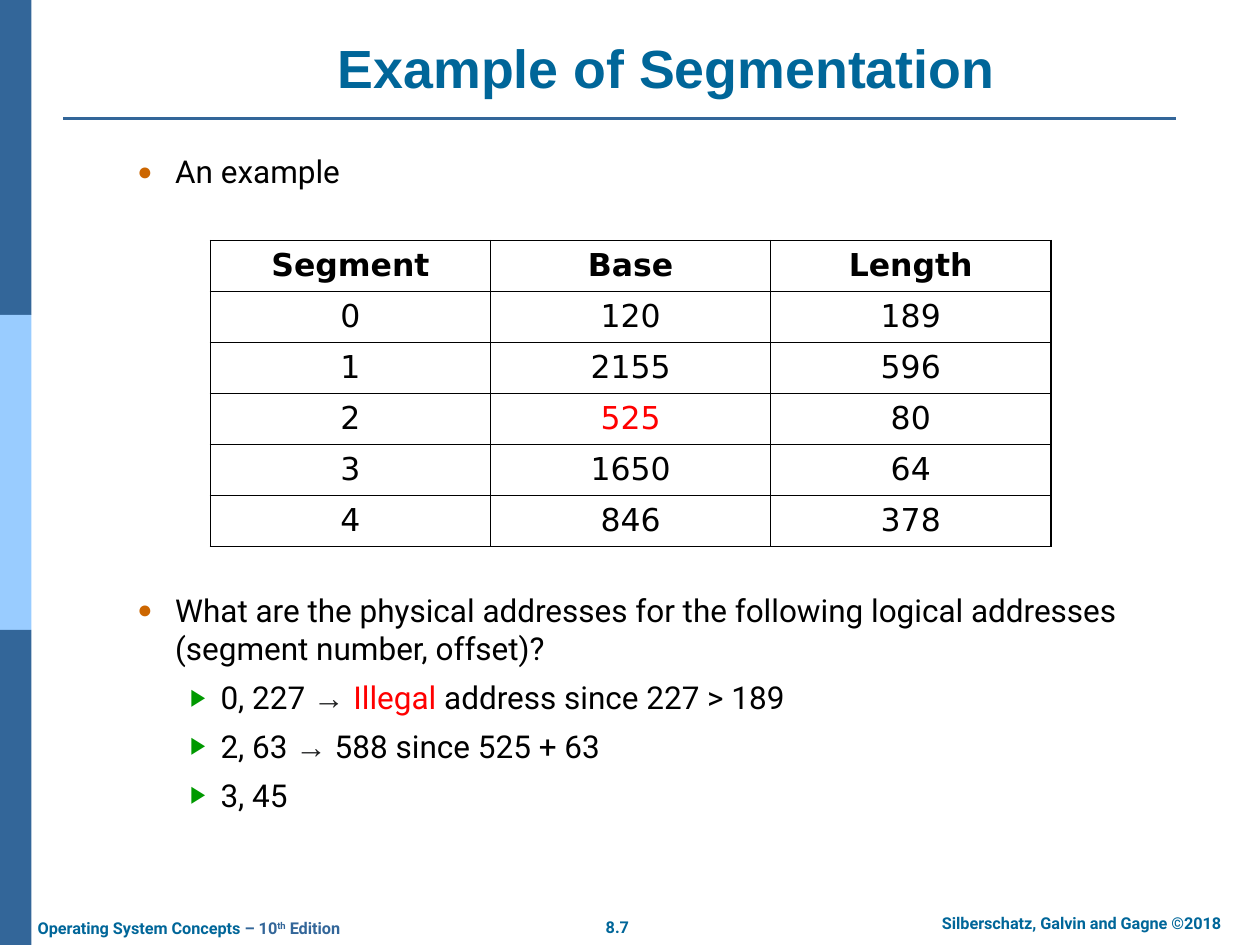
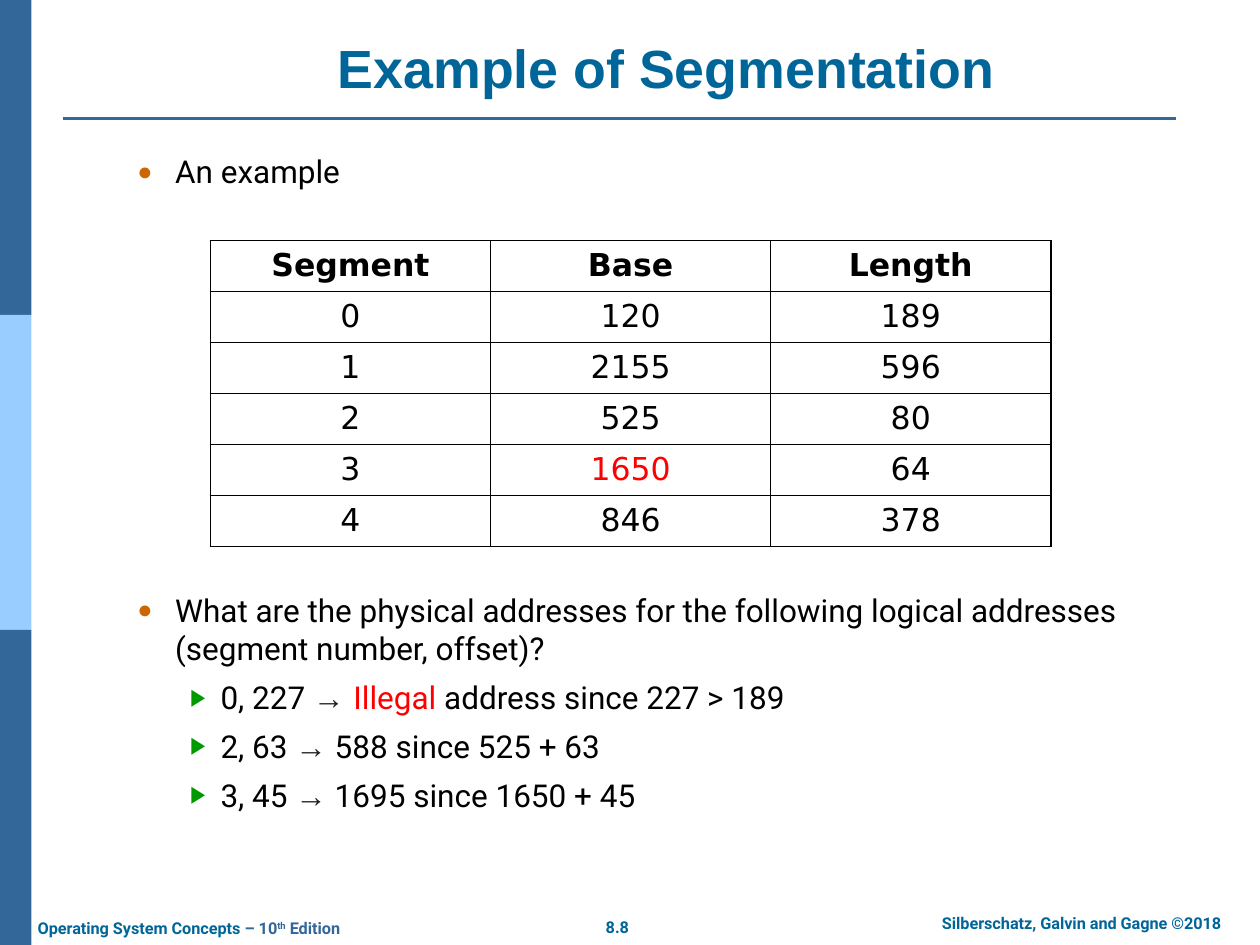
from dataclasses import dataclass

from lxml import etree
from pptx import Presentation
from pptx.dml.color import RGBColor
from pptx.enum.shapes import MSO_CONNECTOR, MSO_SHAPE
from pptx.enum.text import MSO_ANCHOR, MSO_AUTO_SIZE, PP_ALIGN
from pptx.oxml.ns import qn
from pptx.util import Inches, Pt

LEFT, CENTER = PP_ALIGN.LEFT, PP_ALIGN.CENTER
TOP, BOTTOM = MSO_ANCHOR.TOP, MSO_ANCHOR.BOTTOM
NO_AUTOSIZE = MSO_AUTO_SIZE.NONE
RECTANGLE = MSO_SHAPE.RECTANGLE
STRAIGHT = MSO_CONNECTOR.STRAIGHT
TITLE_ONLY = 5


@dataclass(frozen=True)
class Theme:
    band: str = "336699"
    light_band: str = "99CCFF"
    heading: str = "006699"
    text: str = "000000"
    arrow: str = "202122"
    highlight: str = "FF0000"
    paper: str = "FFFFFF"
    title_font: str = "Arial"
    body_font: str = "Roboto"
    table_font: str = "DejaVu Sans"
    title_size: float = 30.7
    body_size: float = 18
    footer_size: float = 9.3


@dataclass(frozen=True)
class BulletLevel:
    character: str
    color: str
    percent: int
    margin: float
    indent: float


THEME = Theme()
TOPIC = BulletLevel("●", "CC6600", 80, 0.77, -0.3)
ADDRESS = BulletLevel("▶", "009900", 75, 1.13, -0.24)

SEGMENTS = [
    ("Segment", "Base", "Length"),
    ("0", "120", "189"),
    ("1", "2155", "596"),
    ("2", "525", "80"),
    ("3", "1650", "64"),
    ("4", "846", "378"),
]
QUESTION = ("What are the physical addresses for the following logical "
            "addresses (segment number, offset)?")
PARAGRAPH_GAP = 6.3
TABLE_GAP = 229.2  # space the table takes between the two topics

# Run styles: (colour, font)
ARROW = (THEME.arrow, THEME.title_font)
ALERT = (THEME.highlight, THEME.body_font)
ILLEGAL_ADDRESS = [("0, 227 ", None), ("→ ", ARROW), ("Illegal", ALERT),
                   (" address since 227 > 189", None)]
LEGAL_ADDRESS = [("2, 63 ", None), ("→", ARROW), (" 588 since 525 + 63", None)]
OPEN_ADDRESS = [("3, 45", None)]
SOLVED_ADDRESS = [("3, 45 ", None), ("→", ARROW), (" 1695 since 1650 + 45", None)]


def rgb(color):
    return RGBColor.from_string(color)


def style_font(font, size, name, color, bold=False):
    font.size = Pt(size)
    font.name = name
    font.color.rgb = rgb(color)
    font.bold = bold


def set_frame(text_frame, inset_x, inset_y, anchor=TOP):
    text_frame.word_wrap = True
    text_frame.auto_size = NO_AUTOSIZE
    text_frame.vertical_anchor = anchor
    text_frame.margin_left = text_frame.margin_right = Inches(inset_x)
    text_frame.margin_top = text_frame.margin_bottom = Inches(inset_y)


def add_run(paragraph, text, style=None):
    run = paragraph.add_run()
    run.text = text
    if style:
        color, name = style
        run.font.color.rgb = rgb(color)
        run.font.name = name
    return run


def add_bands(slide, left, top, width, height):
    """Side strip of three equal bands."""
    colors = (THEME.band, THEME.light_band, THEME.band)
    band_height = height / len(colors)
    for index, color in enumerate(colors):
        band = slide.shapes.add_shape(
            RECTANGLE, Inches(left), Inches(top + index * band_height),
            Inches(width), Inches(band_height))
        band.shadow.inherit = False
        band.fill.solid()
        band.fill.fore_color.rgb = rgb(color)
        band.line.fill.background()


def add_title_rule(slide, left, top, width):
    rule = slide.shapes.add_connector(
        STRAIGHT, Inches(left), Inches(top), Inches(left + width), Inches(top))
    rule.line.color.rgb = rgb(THEME.band)
    rule.line.width = Pt(1.5)
    etree.SubElement(rule._element.spPr, qn("a:effectLst"))


def set_title(slide, text, left, top, width, height):
    title = slide.shapes.title
    title.left, title.top = Inches(left), Inches(top)
    title.width, title.height = Inches(width), Inches(height)
    set_frame(title.text_frame, 0.14, 0.07, BOTTOM)
    paragraph = title.text_frame.paragraphs[0]
    paragraph.alignment = CENTER
    style_font(paragraph.font, THEME.title_size, THEME.title_font, THEME.heading, True)
    add_run(paragraph, text)


def add_footer_text(slide, left, top, width, alignment):
    """Return the styled, still empty paragraph of a footer box."""
    box = slide.shapes.add_textbox(
        Inches(left), Inches(top), Inches(width), Inches(0.25))
    set_frame(box.text_frame, 0.1, 0.05)
    paragraph = box.text_frame.paragraphs[0]
    paragraph.alignment = alignment
    style_font(paragraph.font, THEME.footer_size, THEME.body_font, THEME.heading, True)
    return paragraph


def add_footer(slide, page, top):
    add_run(add_footer_text(slide, 4.6, top + 0.03, 0.6, CENTER), page)
    add_run(add_footer_text(slide, 7.1, top, 2.97, CENTER),
            "Silberschatz, Galvin and Gagne ©2018")
    book = add_footer_text(slide, 0.2, top + 0.04, 2.82, LEFT)
    add_run(book, "Operating System Concepts")
    edition_style = (THEME.band, THEME.body_font)
    add_run(book, " – 10", edition_style)
    ordinal = add_run(book, "th", edition_style)
    ordinal._r.get_or_add_rPr().set("baseline", "30000")
    add_run(book, " Edition", edition_style)


def set_bullet(paragraph, level):
    properties = paragraph._p.get_or_add_pPr()
    properties.set("marL", str(Inches(level.margin)))
    properties.set("indent", str(Inches(level.indent)))
    color = etree.SubElement(properties, qn("a:buClr"))
    etree.SubElement(color, qn("a:srgbClr"), val=level.color)
    etree.SubElement(properties, qn("a:buSzPct"), val=str(level.percent * 1000))
    etree.SubElement(properties, qn("a:buFont"), typeface=THEME.title_font)
    etree.SubElement(properties, qn("a:buChar"), char=level.character)


def add_discussion(slide, addresses, left, top, width, height):
    """Topics above and below the table, then the worked addresses."""
    box = slide.shapes.add_textbox(
        Inches(left), Inches(top), Inches(width), Inches(height))
    text_frame = box.text_frame
    set_frame(text_frame, 0.14, 0.07)
    items = [(TOPIC, 0, [("An example", None)]), (TOPIC, TABLE_GAP, [(QUESTION, None)])]
    items += [(ADDRESS, PARAGRAPH_GAP, runs) for runs in addresses]
    for index, (level, gap, runs) in enumerate(items):
        paragraph = text_frame.add_paragraph() if index else text_frame.paragraphs[0]
        set_bullet(paragraph, level)
        if gap:
            paragraph.space_before = Pt(gap)
        style_font(paragraph.font, THEME.body_size, THEME.body_font, THEME.text)
        for text, style in runs:
            add_run(paragraph, text, style)


def set_borders(cell):
    properties = cell._tc.get_or_add_tcPr()
    for index, side in enumerate(("a:lnL", "a:lnR", "a:lnT", "a:lnB")):
        line = etree.Element(qn(side), w=str(Pt(1)))
        fill = etree.SubElement(line, qn("a:solidFill"))
        etree.SubElement(fill, qn("a:srgbClr"), val=THEME.text)
        properties.insert(index, line)


def add_segment_table(slide, highlighted_base, left, top, width, height):
    row_count, column_count = len(SEGMENTS), len(SEGMENTS[0])
    table = slide.shapes.add_table(
        row_count, column_count, Inches(left), Inches(top),
        Inches(width), Inches(height)).table
    table.horz_banding = False
    for row_index, row in enumerate(SEGMENTS):
        for column_index, value in enumerate(row):
            cell = table.cell(row_index, column_index)
            cell.fill.solid()
            cell.fill.fore_color.rgb = rgb(THEME.paper)
            set_borders(cell)
            paragraph = cell.text_frame.paragraphs[0]
            paragraph.alignment = CENTER
            color = THEME.highlight if value == highlighted_base else THEME.text
            style_font(paragraph.font, THEME.body_size, THEME.table_font,
                       color, row_index == 0)
            add_run(paragraph, value)


def add_segmentation_slide(presentation, page, highlighted_base, addresses):
    slide = presentation.slides.add_slide(presentation.slide_layouts[TITLE_ONLY])
    add_bands(slide, 0, 0, 0.25, 7.5)
    add_title_rule(slide, 0.5, 0.94, 8.83)
    add_footer(slide, page, 7.2)
    set_title(slide, "Example of Segmentation", 1.08, 0.23, 8.42, 0.63)
    add_discussion(slide, addresses, 0.48, 1.14, 8.91, 5.78)
    add_segment_table(slide, highlighted_base, 1.67, 1.91, 6.67, 2.43)


def main():
    presentation = Presentation()
    presentation.slide_width = Inches(10)
    presentation.slide_height = Inches(7.5)
    add_segmentation_slide(presentation, "8.7", "525",
                           [ILLEGAL_ADDRESS, LEGAL_ADDRESS, OPEN_ADDRESS])
    add_segmentation_slide(presentation, "8.8", "1650",
                           [ILLEGAL_ADDRESS, LEGAL_ADDRESS, SOLVED_ADDRESS])
    presentation.save("out.pptx")


if __name__ == "__main__":
    main()
